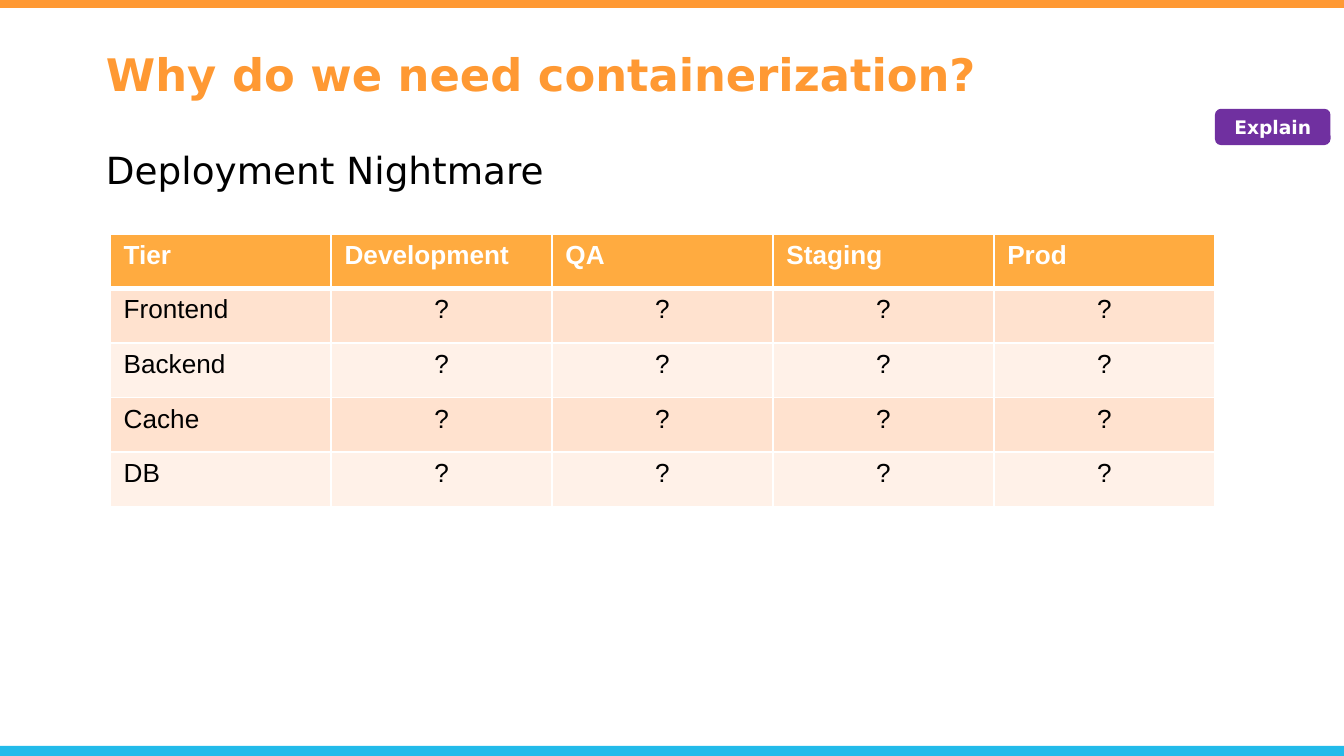
from dataclasses import dataclass

from lxml import etree
from pptx import Presentation
from pptx.dml.color import RGBColor
from pptx.enum import shapes, text
from pptx.oxml import ns
from pptx.util import Inches, Pt

WHITE = RGBColor(0xFF, 0xFF, 0xFF)
BLACK = RGBColor(0, 0, 0)
ORANGE = RGBColor(0xFF, 0x99, 0x33)
BLUE = RGBColor(0x22, 0xBB, 0xEA)
PURPLE = RGBColor(0x70, 0x30, 0xA0)
AMBER = RGBColor(0xFF, 0xAB, 0x40)
PEACH = RGBColor(0xFF, 0xE2, 0xCF)
CREAM = RGBColor(0xFF, 0xF1, 0xE8)

SANS = "DejaVu Sans"
RECT = shapes.MSO_SHAPE.RECTANGLE
ROUND = shapes.MSO_SHAPE.ROUNDED_RECTANGLE
CENTER = text.PP_ALIGN.CENTER
LEFT = text.PP_ALIGN.LEFT


@dataclass
class Box:
    left: float
    top: float
    width: float
    height: float

    def place(self) -> list:
        return [Inches(v) for v in (self.left, self.top, self.width, self.height)]


@dataclass
class Style:
    size: int
    color: RGBColor
    bold: bool = False
    font: str = SANS
    pitch: float = 1.0


def write(frame, words: str, style: Style, align=LEFT) -> None:
    par = frame.paragraphs[0]
    par.alignment = align
    par.line_spacing = style.pitch
    run = par.add_run()
    run.text = words
    run.font.name = style.font
    run.font.size = Pt(style.size)
    run.font.bold = style.bold
    run.font.color.rgb = style.color


def add_block(slide, kind, box: Box, color: RGBColor):
    block = slide.shapes.add_shape(kind, *box.place())
    block.shadow.inherit = False
    block.fill.solid()
    block.fill.fore_color.rgb = color
    block.line.fill.background()
    return block


def add_label(slide, box: Box, words: str, style: Style) -> None:
    frame = slide.shapes.add_textbox(*box.place()).text_frame
    frame.word_wrap = True
    write(frame, words, style)


def add_edge(cell, side: str, width: float) -> None:
    props = cell._tc.get_or_add_tcPr()
    line = etree.SubElement(props, ns.qn(f"a:ln{side}"), w=str(Pt(width)))
    fill = etree.SubElement(line, ns.qn("a:solidFill"))
    etree.SubElement(fill, ns.qn("a:srgbClr"), val=str(WHITE))


def add_grid(slide, box: Box, rows: list[list[str]]) -> None:
    count = len(rows[0])
    grid = slide.shapes.add_table(len(rows), count, *box.place()).table
    grid.horz_banding = False
    for col in grid.columns:
        col.width = Inches(box.width / count)
    for r, row in enumerate(rows):
        grid.rows[r].height = Inches(box.height / len(rows))
        head = r == 0
        style = Style(14, WHITE if head else BLACK, head, "Arial")
        for c, words in enumerate(row):
            cell = grid.cell(r, c)
            # The rule below the header is thicker than the rest
            for side in "LRTB":
                thick = (r, side) in ((0, "B"), (1, "T"))
                add_edge(cell, side, 3 if thick else 1)
            cell.fill.solid()
            cell.fill.fore_color.rgb = AMBER if head else PEACH if r % 2 else CREAM
            write(cell.text_frame, words, style, LEFT if head or c == 0 else CENTER)


def main() -> None:
    # A 16:9 page
    deck = Presentation()
    deck.slide_width = Inches(10)
    deck.slide_height = Inches(10 * 9 / 16)
    slide = deck.slides.add_slide(deck.slide_layouts[6])

    # Bars along the edges
    add_block(slide, RECT, Box(0, 5.55, 10, 0.09), BLUE)
    add_block(slide, RECT, Box(0, 0, 10, 0.06), ORANGE)

    # Tag
    tag = add_block(slide, ROUND, Box(9.04, 0.81, 0.86, 0.27), PURPLE).text_frame
    tag.vertical_anchor = text.MSO_ANCHOR.MIDDLE
    tag.margin_left = tag.margin_right = tag.margin_top = tag.margin_bottom = 0
    write(tag, "Explain", Style(10, WHITE, True), CENTER)

    # Headings
    add_label(slide, Box(0.69, 0.3, 8.62, 0.67),
              "Why do we need containerization?", Style(24, ORANGE, True))
    add_label(slide, Box(0.69, 1.08, 6.2, 0.41),
              "Deployment Nightmare", Style(20, BLACK, pitch=0.9))

    # Tiers against environments
    stages = ["Development", "QA", "Staging", "Prod"]
    tiers = ["Frontend", "Backend", "Cache", "DB"]
    rows = [["Tier", *stages]] + [[tier] + ["?"] * len(stages) for tier in tiers]
    add_grid(slide, Box(0.82, 1.74, 8.22, 2.03), rows)

    deck.save("out.pptx")


if __name__ == "__main__":
    main()
